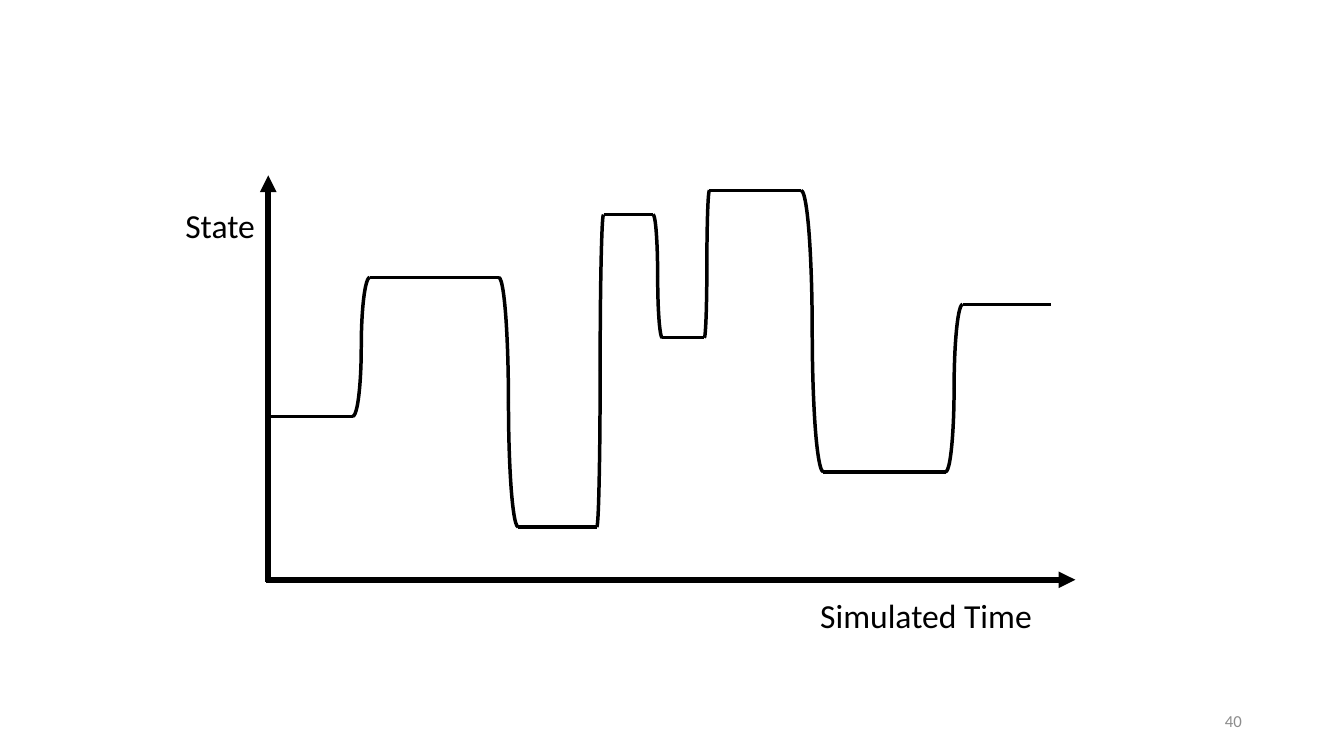
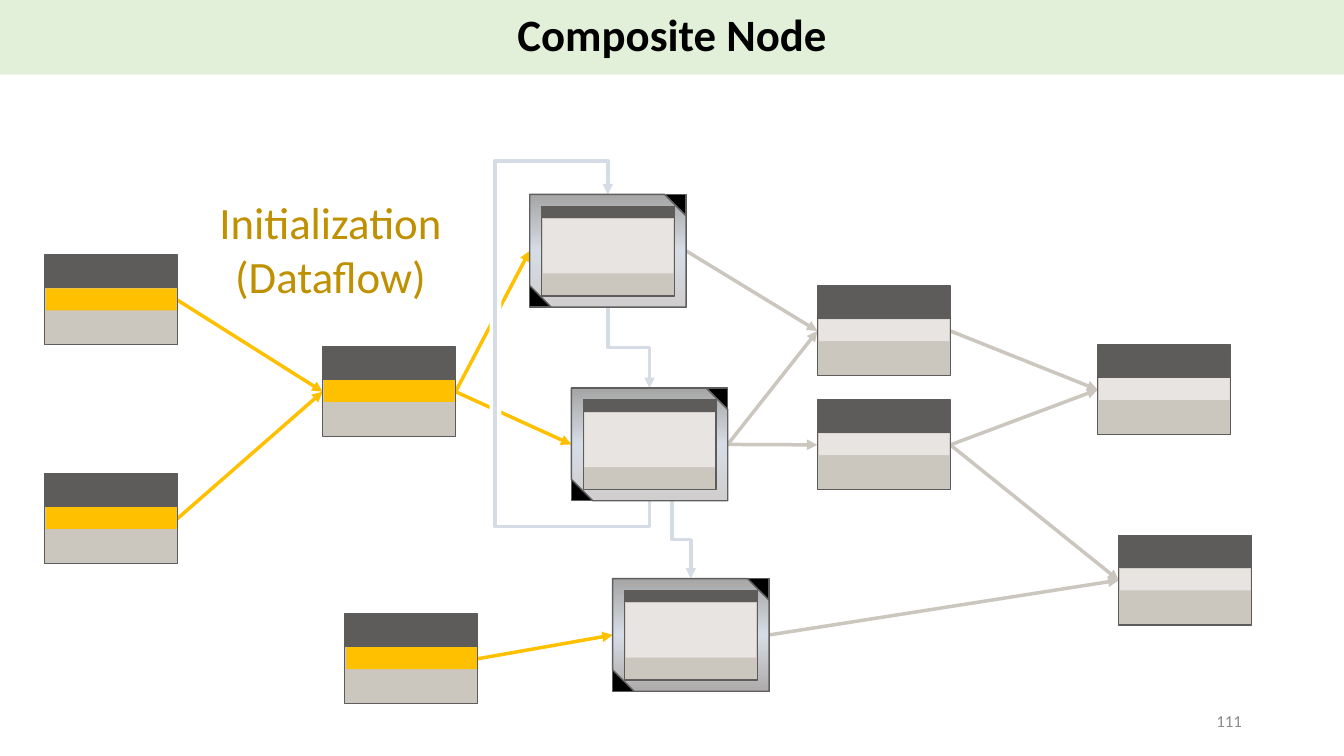
from copy import deepcopy
from itertools import pairwise

from lxml.etree import SubElement
from pptx import Presentation
from pptx.dml.color import RGBColor
from pptx.enum.shapes import MSO_CONNECTOR as LINE, MSO_SHAPE as SHAPE
from pptx.enum.text import MSO_ANCHOR as ANCHOR, PP_ALIGN as ALIGN
from pptx.oxml.ns import qn
from pptx.util import Cm, Pt

BLACK = RGBColor(0x00, 0x00, 0x00)
WHITE = RGBColor(0xFF, 0xFF, 0xFF)
NUMBER_GREY = RGBColor(0x8C, 0x8C, 0x8C)
DARK = RGBColor(0x5E, 0x5C, 0x5A)
STONE = RGBColor(0xCB, 0xC6, 0xBE)
PALE = RGBColor(0xE7, 0xE4, 0xE1)
GOLD = RGBColor(0xFF, 0xC0, 0x00)
DARK_GOLD = RGBColor(0xBF, 0x90, 0x00)
BLUE_GREY = RGBColor(0xD6, 0xDC, 0xE5)
FRAME_LINE = RGBColor(0x5F, 0x5F, 0x5F)
FRAME_TOP = RGBColor(0xA5, 0xA5, 0xA5)
FRAME_LIGHT = RGBColor(0xD0, 0xCE, 0xCE)
FRAME_DIM = RGBColor(0xAF, 0xAB, 0xAB)
BAND_GREEN = RGBColor(0xE2, 0xF0, 0xD9)
FONT = "Calibri"


def draw_shape(page, kind, left, top, width, height, fill=None, line=None, weight=1):
    shape = page.shapes.add_shape(kind, Cm(left), Cm(top), Cm(width), Cm(height))
    shape.shadow.inherit = False
    if fill is None:
        shape.fill.background()
    else:
        shape.fill.solid()
        shape.fill.fore_color.rgb = fill
    if line is None:
        shape.line.fill.background()
    else:
        shape.line.color.rgb = line
        shape.line.width = Pt(weight)
    return shape


def draw_line(page, start, end, colour, weight=2.5, arrow=True, kind=LINE.STRAIGHT):
    line = page.shapes.add_connector(kind, *map(Cm, (*start, *end)))
    line.line.color.rgb = colour
    line.line.width = Pt(weight)
    if arrow:
        SubElement(line.line._get_or_add_ln(), qn("a:tailEnd"), type="triangle")
    SubElement(line._element.spPr, qn("a:effectLst"))
    return line


deck = Presentation()
deck.slide_width, deck.slide_height = Cm(33.87), Cm(19.05)
state_page, node_page = [deck.slides.add_slide(deck.slide_layouts[6]) for _ in range(2)]

# Slide 1: axes
draw_line(state_page, (6.71, 14.61), (27.1, 14.61), BLACK, 4)
draw_line(state_page, (6.76, 14.66), (6.76, 4.42), BLACK, 4)

# Slide 1: states as (start, end, level), joined by two quarter arcs each
states = [
    (6.76, 8.89, 10.49), (9.32, 12.57, 6.99), (13.06, 15.04, 13.28),
    (15.21, 16.46, 5.41), (16.69, 17.75, 8.51), (17.88, 20.19, 4.8),
    (20.75, 23.83, 11.89), (24.26, 26.49, 7.67),
]
for start, end, level in states:
    draw_line(state_page, (start, level), (end, level), BLACK, arrow=False)
for (_, end, level), (start, _, next_level) in pairwise(states):
    gap = start - end
    first_angles = (270, 90) if next_level > level else (0, 180)
    for left, angle in zip((end - gap / 2, end + gap / 2), first_angles):
        arc = draw_shape(state_page, SHAPE.ARC, left, min(level, next_level),
                         gap, abs(next_level - level), line=BLACK, weight=2.5)
        # Adjustments count 100000 units, angles 60000 units per degree
        arc.adjustments[0] = angle * 0.6
        arc.adjustments[1] = (angle + 90) % 360 * 0.6

# Slide 2: places of nodes and composite nodes
NODE_W, NODE_H = 3.35, 2.26
FRAME_W, FRAME_H = 3.94, 2.84
nodes = {
    "source top": (1.12, 6.43, GOLD), "source bottom": (1.12, 11.94, GOLD),
    "merge": (8.13, 8.74, GOLD), "feeder": (8.69, 15.47, GOLD),
    "upper": (20.6, 7.21, PALE), "lower": (20.6, 10.08, PALE),
    "result": (27.66, 8.69, PALE), "sink": (28.19, 13.49, PALE),
}
frames = {
    "last": (15.44, 14.58, FRAME_DIM),
    "second": (14.4, 9.78, FRAME_LIGHT),
    "first": (13.35, 4.9, FRAME_LIGHT),
}
ports = {}
for group, width, height in ((nodes, NODE_W, NODE_H), (frames, FRAME_W, FRAME_H)):
    for name, (left, top, _) in group.items():
        middle = top + height / 2
        ports[name] = (left, middle), (left + width, middle)

# Slide 2: data edges, from right port to left port
edges = {
    STONE: [("first", "upper"), ("second", "lower"), ("lower", "sink"),
            ("last", "sink"), ("upper", "result"), ("lower", "result"),
            ("second", "upper")],
    GOLD: [("merge", "first"), ("source top", "merge"), ("source bottom", "merge"),
           ("merge", "second"), ("feeder", "last")],
}
for colour, pairs in edges.items():
    for origin, target in pairs:
        draw_line(node_page, ports[origin][1], ports[target][0], colour)

# Slide 2: plain nodes
for left, top, band in nodes.values():
    draw_shape(node_page, SHAPE.RECTANGLE, left, top + 0.81, NODE_W, 1.45, STONE, DARK)
    draw_shape(node_page, SHAPE.RECTANGLE, left + 0.04, top + 0.84, 3.29, 0.55, band)
    draw_shape(node_page, SHAPE.RECTANGLE, left, top, NODE_W, 0.81, DARK, DARK)

# Slide 2: white gap in the edges behind the loop line
draw_shape(node_page, SHAPE.RECTANGLE, 12.34, 6.15, 0.3, 5.36, WHITE)

# Slide 2: control flow, elbows that leave and arrive vertically
flows = [
    ((15.32, 7.74), (16.37, 9.78), [0.5]),
    ((16.94, 12.62), (17.41, 14.58), [0.5]),
    ((16.37, 12.62), (15.32, 4.9), [-0.084, 3.705, 1.11]),
]
for (x1, y1), (x2, y2), bends in flows:
    centre_x, centre_y = (x1 + x2) / 2, (y1 + y2) / 2
    half_w, half_h = abs(y2 - y1) / 2, abs(x2 - x1) / 2
    elbow = draw_line(node_page, (centre_x - half_w, centre_y - half_h),
                      (centre_x + half_w, centre_y + half_h), BLUE_GREY, kind=LINE.ELBOW)
    frame = elbow._element.spPr.find(qn("a:xfrm"))
    frame.set("rot", str((270 if y2 > y1 else 90) * 60000))
    frame.set("flipH", "1")
    geometry = elbow._element.spPr.find(qn("a:prstGeom"))
    geometry.set("prst", f"bentConnector{len(bends) + 2}")
    for number, bend in enumerate(bends, 1):
        SubElement(geometry.find(qn("a:avLst")), qn("a:gd"),
                   name=f"adj{number}" if len(bends) > 1 else "adj1",
                   fmla=f"val {round(bend * 100000)}")

# Slide 2: composite nodes, each a framed node on black corners
for left, top, bottom_colour in frames.values():
    draw_shape(node_page, SHAPE.RECTANGLE, left, top, FRAME_W, FRAME_H, BLACK, DARK)
    frame = draw_shape(node_page, SHAPE.SNIP_2_DIAG_RECTANGLE, left, top,
                       FRAME_W, FRAME_H, WHITE, FRAME_LINE)
    frame.adjustments[0], frame.adjustments[1] = 0, 0.191
    frame.fill.gradient()
    frame.fill.gradient_angle = 90
    stop_list = frame._element.spPr.find(".//" + qn("a:gsLst"))
    stop_list.append(deepcopy(stop_list[0]))
    colours = (bottom_colour, BLUE_GREY, FRAME_TOP)
    for stop, colour, position in zip(frame.fill.gradient_stops, colours, (0, 0.5, 1)):
        stop.color.rgb = colour
        stop.position = position
    inner_left, inner_top = left + 0.3, top + 0.3
    draw_shape(node_page, SHAPE.RECTANGLE, inner_left, inner_top, NODE_W, NODE_H, STONE, DARK)
    draw_shape(node_page, SHAPE.RECTANGLE, inner_left + 0.03, inner_top + 0.32, 3.29, 1.37, PALE)
    draw_shape(node_page, SHAPE.RECTANGLE, inner_left, inner_top, NODE_W, 0.28, DARK, DARK)

# Slide 2: title band
draw_shape(node_page, SHAPE.RECTANGLE, 0, 0, 33.87, 1.88, BAND_GREEN)

# Text of both slides
number_style = {"size": 12, "colour": NUMBER_GREY, "align": ALIGN.RIGHT, "anchor": ANCHOR.MIDDLE}
axis_style = {"size": 24, "wrap": False}
title_style = {"size": 32, "bold": True, "align": ALIGN.CENTER, "anchor": ANCHOR.MIDDLE,
               "spacing": 0.9}
caption_style = {"size": 32, "colour": DARK_GOLD, "align": ALIGN.CENTER}
number_place = (23.93, 17.65, 7.62, 1.02)
texts = [
    (state_page, "Simulated Time", (20.42, 14.86, 5.89, 1.27), axis_style),
    (state_page, "State", (4.42, 5.03, 2.29, 1.27), axis_style),
    (state_page, "40", number_place, number_style),
    (node_page, "Composite Node", (11.63, 0, 10.62, 1.86), title_style),
    (node_page, "Initialization (Dataflow)", (4.24, 4.78, 8.18, 3), caption_style),
    (node_page, "111", number_place, number_style),
]
for page, words, place, style in texts:
    box = page.shapes.add_textbox(*map(Cm, place))
    frame = box.text_frame
    frame.word_wrap = style.get("wrap", True)
    frame.vertical_anchor = style.get("anchor", ANCHOR.TOP)
    para = frame.paragraphs[0]
    para.alignment = style.get("align", ALIGN.LEFT)
    para.line_spacing = style.get("spacing", 1.0)
    span = para.add_run()
    span.text = words
    font_values = {"name": FONT, "size": Pt(style["size"]), "bold": style.get("bold", False)}
    for attribute, value in font_values.items():
        setattr(span.font, attribute, value)
    span.font.color.rgb = style.get("colour", BLACK)

deck.save("out.pptx")
